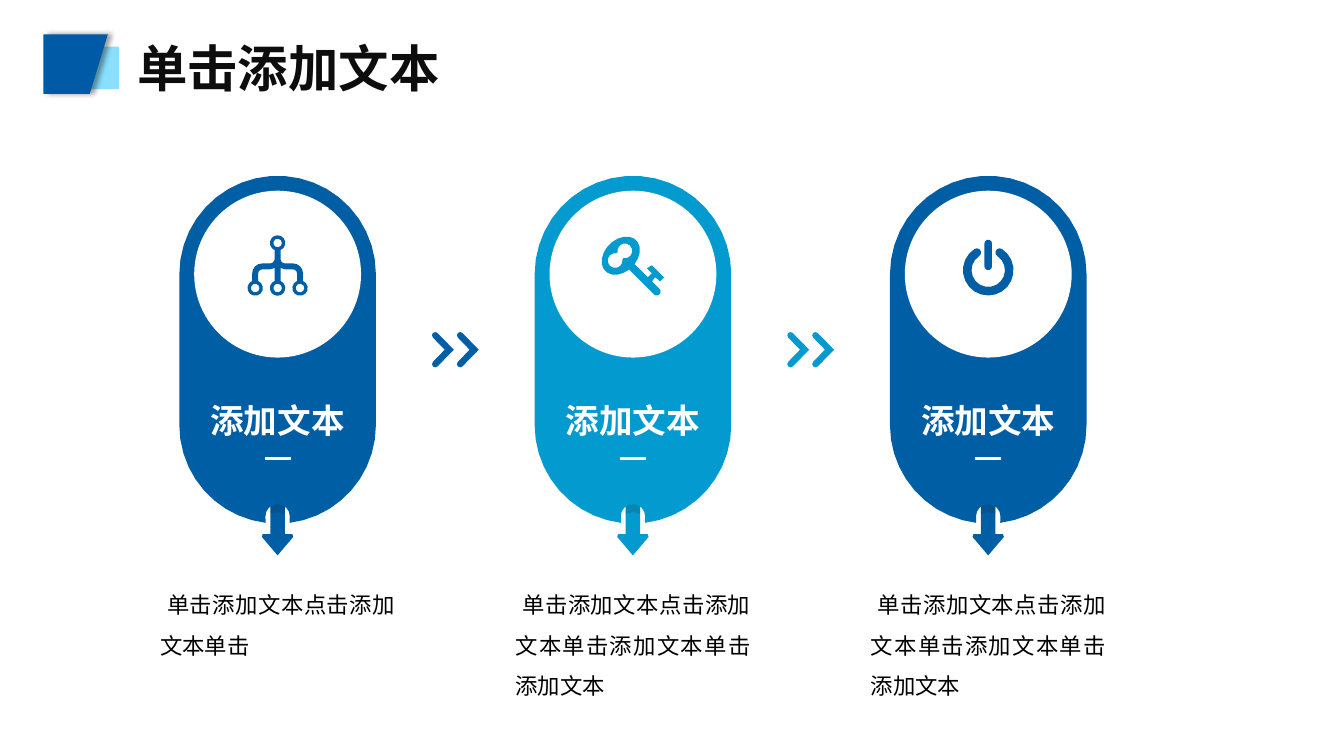
from math import acos, ceil, cos, degrees, radians, sin

from lxml.etree import SubElement
from pptx import Presentation
from pptx.dml.color import RGBColor
from pptx.enum.shapes import MSO_CONNECTOR, MSO_SHAPE
from pptx.enum.text import MSO_ANCHOR, PP_ALIGN
from pptx.oxml.ns import qn
from pptx.util import Pt

NAVY = RGBColor(0x00, 0x5E, 0xA4)
CYAN = RGBColor(0x03, 0x9A, 0xCF)
TITLE_BLUE = RGBColor(0x00, 0x5A, 0xA6)
PALE_BLUE = RGBColor(0x89, 0xDF, 0xFD)
SHADE = RGBColor(0x23, 0x18, 0x15)
INK = RGBColor(0x0D, 0x0D, 0x0D)
BLACK = RGBColor(0, 0, 0)
WHITE = RGBColor(0xFF, 0xFF, 0xFF)
CJK_FONT = "Noto Sans CJK SC"
FIRST_CENTER, COLUMN_STEP = 198.3, 253.8
ICON_Y = 190
TOLERANCE = 0.2


def arc(cx, cy, rx, ry, start, end):
    """Return the few points that follow an elliptical arc within the tolerance."""
    step = 2 * degrees(acos(1 - TOLERANCE / max(rx, ry)))
    count = ceil(abs(end - start) / step)
    angles = [radians(start + (end - start) * i / count) for i in range(count + 1)]
    return [(cx + rx * cos(a), cy + ry * sin(a)) for a in angles]


def ring(cx, cy, r, start=0, end=360):
    """Return points along a circular arc."""
    return arc(cx, cy, r, r, start, end)


def paint(sp, color):
    """Give a shape a flat fill without line or shadow."""
    sp.shadow.inherit = False
    sp.fill.solid()
    sp.fill.fore_color.rgb = color
    sp.line.fill.background()
    return sp


def add_preset(shapes, kind, x, y, w, h, color):
    """Add a flat preset shape."""
    return paint(shapes.add_shape(kind, Pt(x), Pt(y), Pt(w), Pt(h)), color)


def add_outline(shapes, contours, color, dx=0, dy=0):
    """Draw closed contours, offset by dx and dy, as one filled freeform."""
    builder = None
    for contour in contours:
        pts = [(Pt(x + dx), Pt(y + dy)) for x, y in contour]
        if builder is None:
            builder = shapes.build_freeform(*pts[0])
        else:
            builder.move_to(*pts[0])
        builder.add_line_segments(pts[1:], close=True)
    return paint(builder.convert_to_shape(), color)


def network_icon():
    """Return the contours of a tree with one root and three leaves."""
    half = (ring(0, -16.4, 5.5, -90, 67.5) + ring(5.3, -5, 3.2, 180, 90)
            + ring(11, 5.4, 7.2, -90, 0) + ring(16, 15.8, 5.5, -67.5, 247.5)
            + ring(10.9, 5.4, 3, 0, -90) + [(5.4, 2.4), (2.1, 1.5)]
            + ring(0, 15.8, 5.5, -67.5, 90))
    mirrored = [(-x, y) for x, y in reversed(half)]
    nodes = [(0, -16.4), (-16, 15.8), (0, 15.8), (16, 15.8)]
    return [half + mirrored] + [ring(x, y, 3.1) for x, y in nodes]


def key_icon():
    """Return the contours of a key turned by 45 degrees."""
    bit = [(13.3, -1.9), (13.3, -6), (8.25, -6), (9.3, -10),
           (21.5, -10), (21.5, -6), (16.9, -5.5), (17.4, -1.9)]
    body = arc(-11.3, 0.9, 11.4, 15.6, 10, 350) + bit + ring(25, 0.9, 2.8, -90, 90)
    hole = ring(-11.7, -3.6, 5.3, 125, 415) + ring(-11.7, 6.2, 5.3, -55, 235)
    turn = cos(radians(45))
    return [[((u - v) * turn, (u + v) * turn) for u, v in part] for part in (body, hole)]


def power_icon():
    """Return the contours of a power symbol."""
    cy, mid, cap, start, end = 3, 15, 3.05, -57, 237
    left, right = [(mid * cos(radians(a)), cy + mid * sin(radians(a))) for a in (end, start)]
    dial = (ring(0, cy, mid + cap, start, end) + ring(*left, cap, end, end + 180)
            + ring(0, cy, mid - cap, end, start) + ring(*right, cap, start + 180, start + 360))
    bar = ring(0, -16.1, 2.7, 180, 360) + ring(0, 0.3, 2.7, 0, 180)
    return [dial, bar]


def style(p, size, color, bold=False, font=CJK_FONT):
    """Format every run of a paragraph."""
    for r in p.runs:
        r.font.size, r.font.bold, r.font.name = Pt(size), bold, font
        r.font.color.rgb = color
        SubElement(r._r.get_or_add_rPr(), qn("a:ea")).set("typeface", CJK_FONT)


def add_text(shapes, text, x, y, w, h, align, anchor):
    """Add a wrapping text box and return its paragraph."""
    tf = shapes.add_textbox(Pt(x), Pt(y), Pt(w), Pt(h)).text_frame
    tf.word_wrap = True
    tf.vertical_anchor = anchor
    tf.text = text
    p = tf.paragraphs[0]
    p.alignment = align
    return p


def add_heading(slide, text):
    """Fill the title and draw its two-part marker."""
    add_preset(slide.shapes, MSO_SHAPE.RECTANGLE, 49.7, 33.3, 35.3, 30.3, PALE_BLUE)
    flag = add_outline(slide.shapes, [[(31, 24.5), (77, 24.5), (64.1, 67), (31, 67)]], TITLE_BLUE)
    effects = flag._element.spPr.find(qn("a:effectLst"))
    shadow = SubElement(effects, qn("a:outerShdw"), blurRad=str(Pt(4)), dist=str(Pt(3)), dir="0")
    black = SubElement(shadow, qn("a:srgbClr"), val="000000")
    SubElement(black, qn("a:alpha"), val="40000")
    title = slide.shapes.title
    title.left, title.top, title.width, title.height = Pt(90.7), Pt(22.3), Pt(232.6), Pt(51)
    tf = title.text_frame
    tf.text = text
    tf.word_wrap = False
    tf.vertical_anchor = MSO_ANCHOR.MIDDLE
    tf.paragraphs[0].alignment = PP_ALIGN.LEFT
    style(tf.paragraphs[0], 36, INK, True)


def add_capsule(shapes, cx, color, icon):
    """Draw a capsule with its down arrow and icon."""
    arrow = [(-5.2, 360), (5.2, 360), (5.2, 381.6), (10.6, 381.6), (11.2, 383.5),
             (0, 396.7), (-11.2, 383.5), (-10.6, 381.6), (-5.2, 381.6)]
    add_outline(shapes, [arrow], color, cx)
    shade = [(-5.2, 360), (5.2, 360), (5.2, 367.2), (0, 365.8), (-5.2, 367.2)]
    sp = add_outline(shapes, [shade], SHADE, cx)
    SubElement(sp._element.spPr.find(".//" + qn("a:srgbClr")), qn("a:alpha"), val="15000")
    body = (ring(0, 195.8, 70.2, 180, 360) + ring(0, 303.8, 70.2, 0, 83)
            + ring(0, 368.8, 8.7, 360, 180) + ring(0, 303.8, 70.2, 97, 180))
    add_outline(shapes, [body], color, cx)
    add_preset(shapes, MSO_SHAPE.OVAL, cx - 59.6, 136.2, 119.2, 119.2, WHITE)
    add_outline(shapes, icon, color, cx, ICON_Y)


def add_label(shapes, cx, text):
    """Add the capsule caption and the short rule below it."""
    p = add_text(shapes, text, cx - 59.4, 282.2, 118.8, 36, PP_ALIGN.CENTER, MSO_ANCHOR.MIDDLE)
    style(p, 24, WHITE, True, "Arial")
    rule = shapes.add_connector(MSO_CONNECTOR.STRAIGHT, Pt(cx - 9.3), Pt(327.6),
                                Pt(cx + 9.3), Pt(327.6))
    rule.line.color.rgb = WHITE
    rule.line.width = Pt(1.75)
    SubElement(rule._element.spPr, qn("a:effectLst"))


def add_description(shapes, cx, text, height):
    """Add the justified text below a capsule."""
    p = add_text(shapes, text, cx - 91, 409, 182.2, height, PP_ALIGN.JUSTIFY, MSO_ANCHOR.TOP)
    p._p.get_or_add_pPr().set("indent", str(Pt(5)))
    p.line_spacing = Pt(28.9)
    style(p, 16, BLACK)


def add_chevrons(shapes, left, color):
    """Draw two chevrons pointing right."""
    chevron = (ring(2.6, -10.3, 2.3, 135, 315) + [(15.9, 0)]
               + ring(2.6, 10.3, 2.3, 45, 225) + [(9.4, 0)])
    for dx in (17.8, 0):
        add_outline(shapes, [chevron], color, left + dx, 249.8)


def main():
    """Build the three-step slide."""
    prs = Presentation()
    prs.slide_width, prs.slide_height = Pt(960), Pt(540)
    slide = prs.slides.add_slide(prs.slide_layouts[5])
    shapes = slide.shapes
    add_heading(slide, "单击添加文本")
    long_text = "单击添加文本点击添加文本单击添加文本单击添加文本"
    steps = [(NAVY, network_icon(), "单击添加文本点击添加文本单击", 62.6),
             (CYAN, key_icon(), long_text, 91.4),
             (NAVY, power_icon(), long_text, 91.4)]
    for i, (color, icon, text, height) in enumerate(steps):
        cx = FIRST_CENTER + i * COLUMN_STEP
        add_capsule(shapes, cx, color, icon)
        add_label(shapes, cx, "添加文本")
        add_description(shapes, cx, text, height)
        if i < len(steps) - 1:
            add_chevrons(shapes, cx + 110, color)
    prs.save("out.pptx")


if __name__ == "__main__":
    main()
